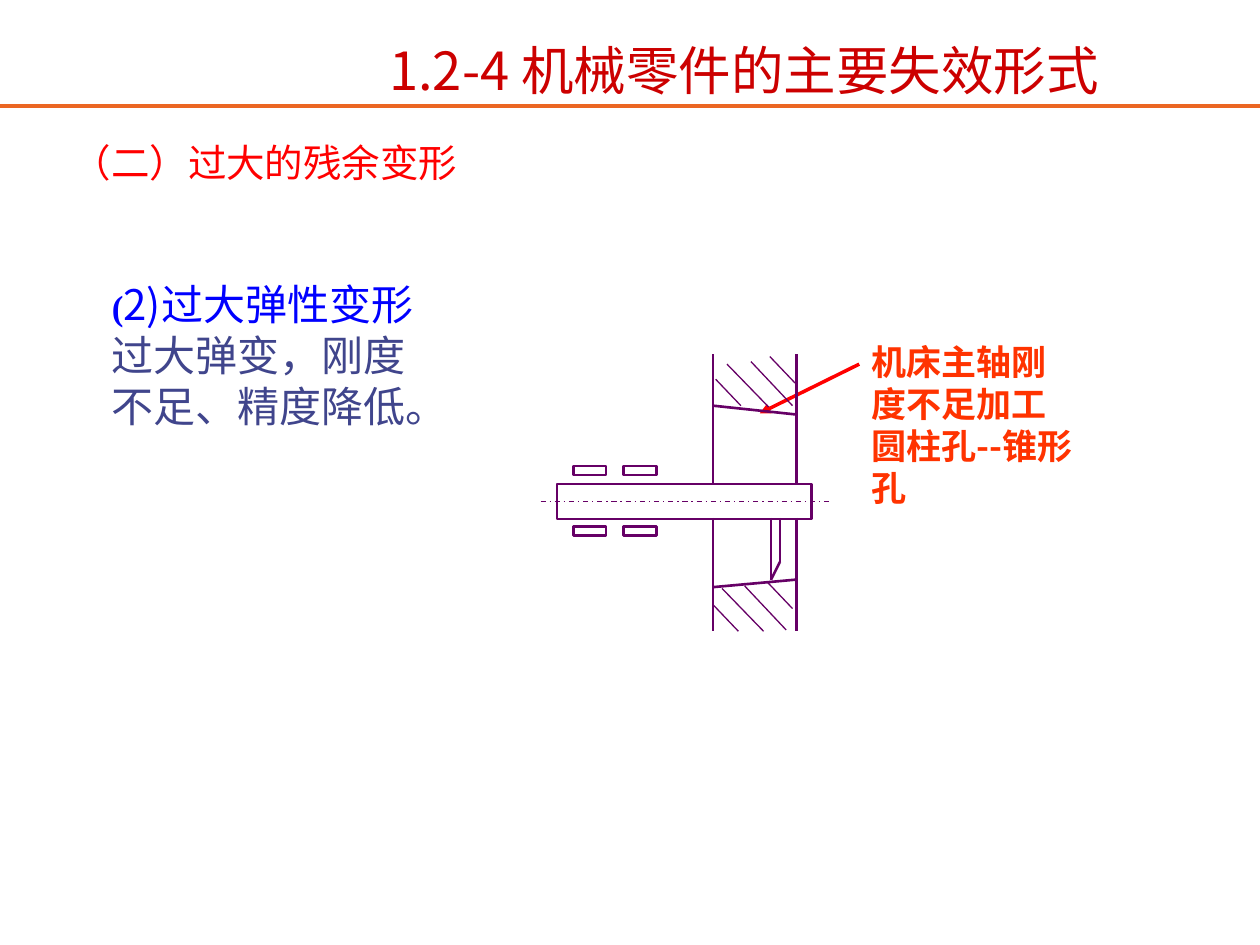
"""Build the slide on excessive elastic deformation of machine parts."""
import itertools

import lxml.etree
import pptx
import pptx.dml.color
import pptx.enum.dml
import pptx.enum.shapes
import pptx.enum.text
import pptx.oxml.ns
import pptx.util

Inches = pptx.util.Inches
Pt = pptx.util.Pt
Align = pptx.enum.text.PP_ALIGN
Anchor = pptx.enum.text.MSO_ANCHOR

THEME = {
    "sans": "Noto Sans CJK SC", "serif": "Times New Roman",
    "title": "CC0000", "heading": "FF0000", "point": "0000FF", "body": "40458C",
    "callout": "FF3300", "rule": "EB6623", "arrow": "FF0000", "drawing": "660066",
    "title_size": 30, "heading_size": 22, "body_size": 24, "small_size": 20,
    "rule_width": 2.25, "arrow_width": 2, "outline_width": 1.5, "thin_width": 0.75,
}


def style(text, color, size, bold=False, font="sans"):
    return text, color, size, bold, font


TITLE = [[style("1.2-4 机械零件的主要失效形式", "title", "title_size")]]
HEADING = [[style("（二）过大的残余变形", "heading", "heading_size")]]
BODY = [
    [style("(", "point", "small_size", True, "serif"),
     style("2)过大弹性变形", "point", "body_size")],
    [style("过大弹变，刚度不足、精度降低。", "body", "body_size")],
]
CALLOUT = [[style("机床主轴刚度不足加工圆柱孔--锥形孔", "callout", "small_size", True)]]

SHAFT = (4.42, 3.84, 2.02, 0.28)
BEARING_SIZE = (0.26, 0.07)
BEARING_LEFTS = (4.55, 4.95)
BEARING_TOPS = (3.7, 4.18)
WALL_LEFTS = (5.66, 6.32)
WALL_SPANS = ((2.81, 3.84), (4.11, 5.01))
CENTRE_LINE = (4.29, 3.98, 6.58, 3.98)
TOOL = [(6.12, 4.11, 6.12, 4.6), (6.19, 4.11, 6.19, 4.46), (6.19, 4.46, 6.12, 4.6)]
BORE = [(5.66, 4.66, 6.32, 4.6), (5.66, 3.22, 6.32, 3.29)]
HATCHING = [
    (5.66, 4.8, 5.86, 5.01), (5.73, 4.67, 6.06, 5.01),
    (5.91, 4.65, 6.24, 5), (6.09, 4.62, 6.29, 4.83),
    (5.68, 3.01, 5.88, 3.22), (5.77, 2.89, 6.1, 3.23),
    (5.96, 2.87, 6.29, 3.22), (6.11, 2.83, 6.31, 3.04),
]


def rgb(name):
    return pptx.dml.color.RGBColor.from_string(THEME[name])


def add_child(parent, tag, **attributes):
    return lxml.etree.SubElement(parent, pptx.oxml.ns.qn(tag), **attributes)


def add_text(shapes, area, paragraphs, align=Align.LEFT, anchor=Anchor.TOP,
             wrap=True, spacing=None):
    box = shapes.add_textbox(*map(Inches, area))
    frame = box.text_frame
    frame.word_wrap = wrap
    frame.vertical_anchor = anchor
    for index, spans in enumerate(paragraphs):
        para = frame.add_paragraph() if index else frame.paragraphs[0]
        para.alignment = align
        if spacing:
            para.line_spacing = spacing
        if index:
            para.space_before = Pt(0.5)
        for text, color, size, bold, font in spans:
            span = para.add_run()
            span.text = text
            span.font.size = Pt(THEME[size])
            span.font.bold = bold
            span.font.color.rgb = rgb(color)
            span.font.name = THEME[font]
            add_child(span.font._element, "a:ea", typeface=THEME[font])
    return box


def set_line(shape, color, width):
    shape.line.color.rgb = rgb(color)
    shape.line.width = Pt(THEME[width])


def add_line(shapes, ends, color="drawing", width="outline_width"):
    line = shapes.add_connector(pptx.enum.shapes.MSO_CONNECTOR.STRAIGHT,
                                *map(Inches, ends))
    set_line(line, color, width)
    add_child(line._element.spPr, "a:effectLst")
    return line


def add_outline(shapes, area):
    outline = shapes.add_shape(pptx.enum.shapes.MSO_SHAPE.RECTANGLE,
                               *map(Inches, area))
    outline.shadow.inherit = False
    outline.fill.background()
    set_line(outline, "drawing", "outline_width")


def add_callout(page):
    shapes = page.shapes.add_group_shape().shapes
    add_text(shapes, (6.82, 2.65, 1.81, 2.12), CALLOUT)
    arrow = add_line(shapes, (6.82, 2.89, 6.03, 3.28), "arrow", "arrow_width")
    add_child(arrow.line._get_or_add_ln(), "a:tailEnd", type="triangle")


def add_drawing(page):
    shapes = page.shapes.add_group_shape().shapes
    add_outline(shapes, SHAFT)
    for left, top in itertools.product(BEARING_LEFTS, BEARING_TOPS):
        add_outline(shapes, (left, top, *BEARING_SIZE))
    walls = [(left, top, left, bottom)
             for left, (top, bottom) in itertools.product(WALL_LEFTS, WALL_SPANS)]
    for ends in TOOL + BORE + walls:
        add_line(shapes, ends)
    for ends in HATCHING:
        add_line(shapes, ends, width="thin_width")
    centre = add_line(shapes, CENTRE_LINE, width="thin_width")
    centre.line.dash_style = pptx.enum.dml.MSO_LINE.DASH_DOT


def main():
    deck = pptx.Presentation()
    deck.slide_width, deck.slide_height = Inches(10), Inches(7.5)
    page = deck.slides.add_slide(deck.slide_layouts[6])
    title = add_text(page.shapes, (2.56, 0.33, 6.69, 0.47), TITLE,
                     Align.CENTER, Anchor.MIDDLE)
    title.text_frame.margin_top = Inches(0.02)
    add_text(page.shapes, (0.48, 0.98, 3.26, 0.54), HEADING, wrap=False, spacing=1.2)
    add_line(page.shapes, (0, 0.84, 10, 0.84), "rule", "rule_width")
    add_text(page.shapes, (0.79, 2.16, 2.76, 1.32), BODY)
    add_callout(page)
    add_drawing(page)
    deck.save("out.pptx")


if __name__ == "__main__":
    main()
